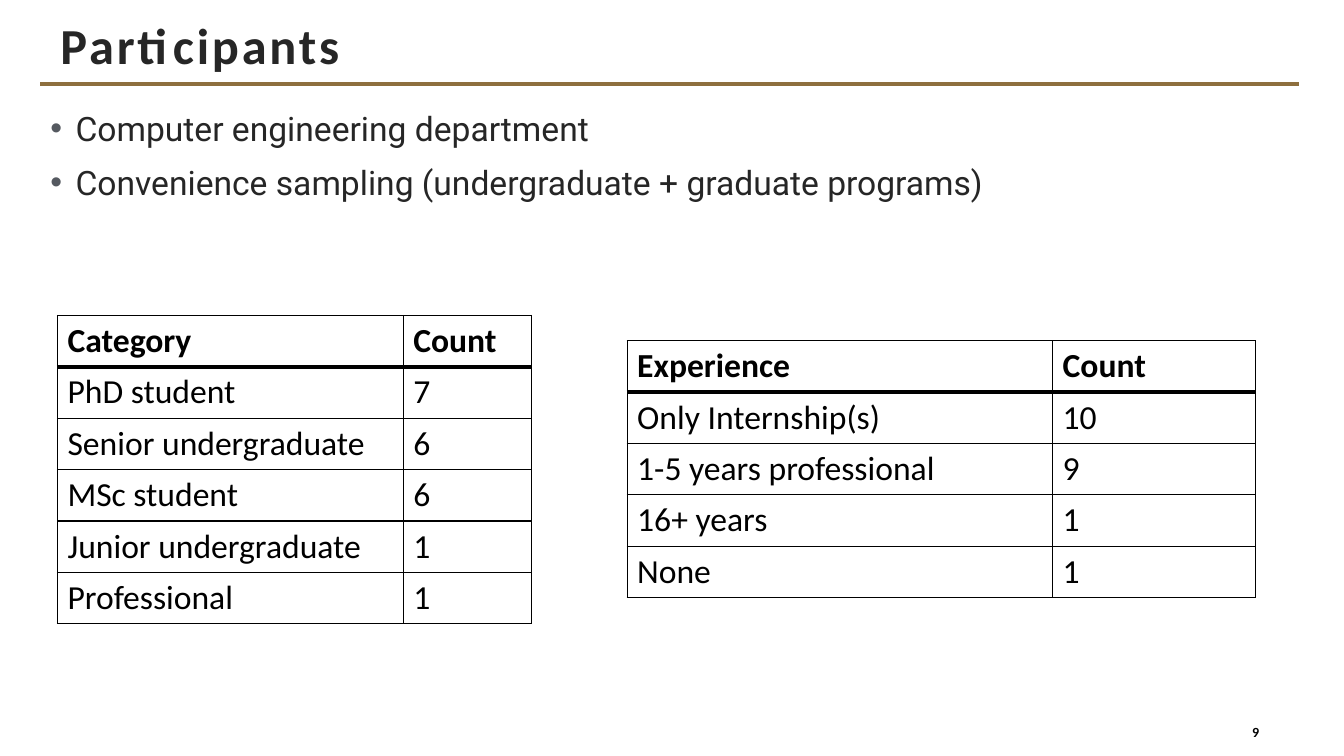
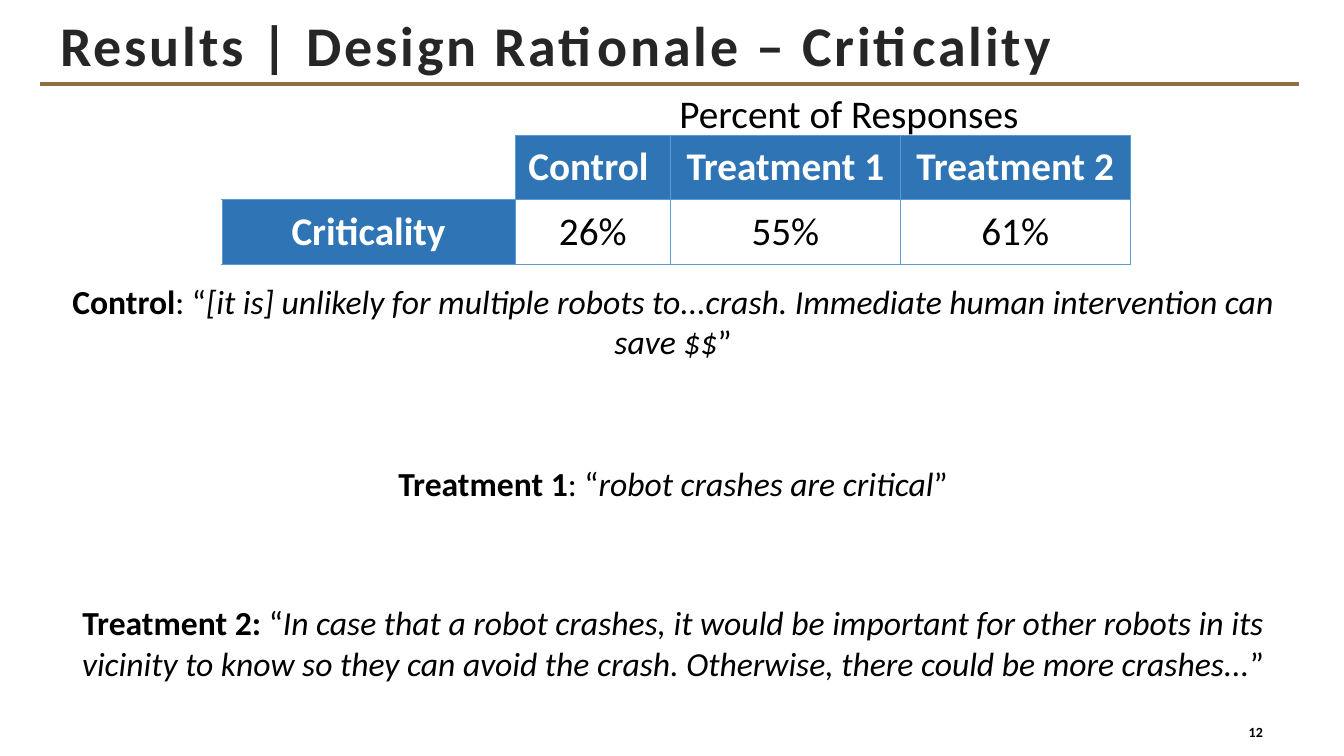
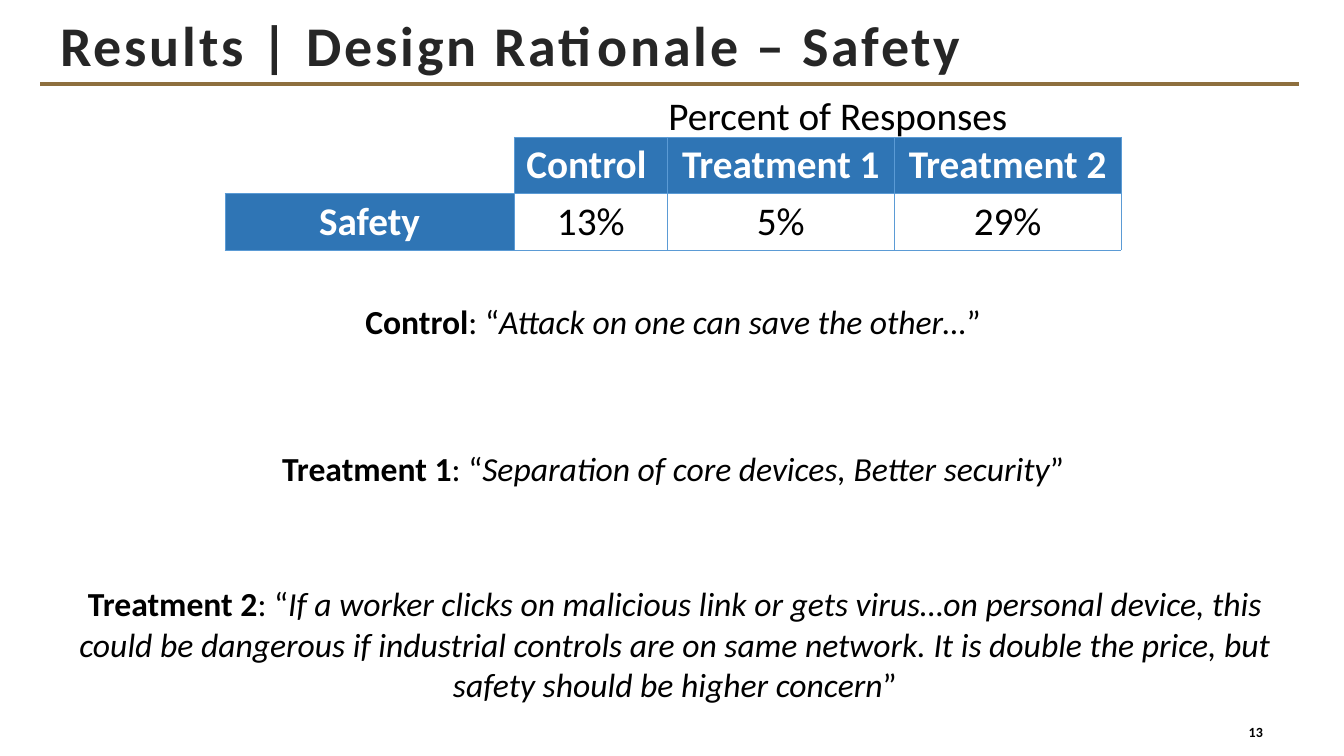
from pptx import Presentation
from pptx.dml.color import RGBColor
from pptx.enum.shapes import MSO_CONNECTOR, MSO_SHAPE
from pptx.enum.text import MSO_ANCHOR, MSO_AUTO_SIZE, PP_ALIGN
from pptx.oxml.ns import qn
from pptx.util import Inches, Pt
from lxml.etree import SubElement

COLORS = {
    "rule": "8E6F3E",
    "heading": "262626",
    "bullet": "555960",
    "text": "000000",
    "white": "FFFFFF",
    "header": "2F75B5",
    "grid": "5B9BD5",
}
FONT = "Calibri"
BODY_FONT = "Roboto"
LEFT, WIDTH = 0.4, 12.48
TITLE_AND_CONTENT, TITLE_ONLY = 1, 5


def color(name):
    return RGBColor.from_string(COLORS[name])


def place(shape, left, top, width, height):
    shape.left, shape.top = Inches(left), Inches(top)
    shape.width, shape.height = Inches(width), Inches(height)


def set_margins(target, horizontal, vertical):
    """Set the inner margins of a text frame or a table cell."""
    target.margin_left = target.margin_right = Inches(horizontal)
    target.margin_top = target.margin_bottom = Inches(vertical)


def format_run(run, size, bold=False, italic=False, color_name="text", font=FONT):
    run.font.name = font
    run.font.size = Pt(size)
    run.font.bold = bold
    run.font.italic = italic
    run.font.color.rgb = color(color_name)


def add_rule(slide):
    rule = slide.shapes.add_connector(
        MSO_CONNECTOR.STRAIGHT,
        Inches(LEFT), Inches(0.83), Inches(LEFT + WIDTH), Inches(0.83))
    rule.line.color.rgb = color("rule")
    rule.line.width = Pt(3)
    SubElement(rule.element.spPr, qn("a:effectLst"))


def format_title(title, text, size):
    place(title, LEFT, 0.13, WIDTH, 0.7)
    frame = title.text_frame
    frame.text = text
    frame.auto_size = MSO_AUTO_SIZE.NONE
    frame.vertical_anchor = MSO_ANCHOR.MIDDLE
    set_margins(frame, 0.2, 0.2)
    paragraph = frame.paragraphs[0]
    paragraph.alignment = PP_ALIGN.LEFT
    paragraph.line_spacing = 0.9
    run = paragraph.runs[0]
    format_run(run, size, bold=True, color_name="heading")
    run.font._element.set("spc", "200")


def add_clear_shape(slide, kind, left, top, width, height):
    """Add a shape without fill or line and return its centred paragraph."""
    shape = slide.shapes.add_shape(
        kind, Inches(left), Inches(top), Inches(width), Inches(height))
    shape.shadow.inherit = False
    shape.fill.background()
    shape.line.fill.background()
    shape.text_frame.word_wrap = True
    shape.text_frame.vertical_anchor = MSO_ANCHOR.MIDDLE
    paragraph = shape.text_frame.paragraphs[0]
    paragraph.alignment = PP_ALIGN.CENTER
    return shape, paragraph


def add_page_number(slide, number):
    shape, paragraph = add_clear_shape(slide, MSO_SHAPE.OVAL, 12.19, 7.06, 0.53, 0.4)
    set_margins(shape.text_frame, 0.02, 0.05)
    paragraph.text = str(number)
    format_run(paragraph.runs[0], 10, bold=True)


def add_titled_slide(presentation, layout, title, title_size, number):
    slide = presentation.slides.add_slide(presentation.slide_layouts[layout])
    add_rule(slide)
    format_title(slide.shapes.title, title, title_size)
    add_page_number(slide, number)
    return slide


def set_bullet(paragraph):
    properties = paragraph._p.get_or_add_pPr()
    properties.set("marL", str(Inches(0.25)))
    properties.set("indent", str(-Inches(0.25)))
    bullet_color = SubElement(properties, qn("a:buClr"))
    SubElement(bullet_color, qn("a:srgbClr"), val=COLORS["bullet"])
    SubElement(properties, qn("a:buFont"), typeface="Arial")
    SubElement(properties, qn("a:buChar"), char="•")


def fill_bullets(body, items):
    place(body, LEFT, 1.02, WIDTH, 6.04)
    frame = body.text_frame
    frame.text = "\n".join(items)
    frame.auto_size = MSO_AUTO_SIZE.NONE
    for paragraph in frame.paragraphs:
        paragraph.space_before = Pt(10)
        set_bullet(paragraph)
        format_run(paragraph.runs[0], 24, color_name="heading", font=BODY_FONT)


def set_borders(cell, color_name, width, **special):
    """Draw all four borders; special maps a side to its (colour, width)."""
    properties = cell._tc.get_or_add_tcPr()
    for side in "LRTB":
        side_color, side_width = special.get(side, (color_name, width))
        line = SubElement(properties, qn(f"a:ln{side}"), w=str(Pt(side_width)))
        fill = SubElement(line, qn("a:solidFill"))
        SubElement(fill, qn("a:srgbClr"), val=COLORS[side_color])


def fill_cell(cell, fill_name):
    if fill_name:
        cell.fill.solid()
        cell.fill.fore_color.rgb = color(fill_name)
    else:
        cell.fill.background()


def add_grid(slide, rows, left, top, column_widths, row_height):
    """Add a plain table with its texts and yield (row, column, cell)."""
    table = slide.shapes.add_table(
        len(rows), len(column_widths), Inches(left), Inches(top),
        Inches(sum(column_widths)), Inches(row_height * len(rows))).table
    table.first_row = table.horz_banding = False
    for column, width in zip(table.columns, column_widths):
        column.width = Inches(width)
    for row_index, row in enumerate(rows):
        table.rows[row_index].height = Inches(row_height)
        for column_index, text in enumerate(row):
            cell = table.cell(row_index, column_index)
            cell.text = text
            yield row_index, column_index, cell


def add_count_table(slide, rows, left, top, column_widths):
    thick = ("text", 3)
    special_borders = {0: {"B": thick}, 1: {"T": thick}}
    for row, _, cell in add_grid(slide, rows, left, top, column_widths, 0.51):
        set_borders(cell, "text", 1, **special_borders.get(row, {}))
        fill_cell(cell, "white")
        format_run(cell.text_frame.paragraphs[0].runs[0], 24, bold=row == 0)


def add_percent_table(slide, name, values, left, top, column_widths, row_height):
    rows = [["", "Control ", "Treatment 1", "Treatment 2"], [name, *values]]
    blank = ("white", 0.5)
    for row, column, cell in add_grid(slide, rows, left, top, column_widths, row_height):
        is_corner = row == column == 0
        is_header = (row == 0) != (column == 0)
        set_borders(cell, "grid", 0.5, **({"L": blank, "T": blank} if is_corner else {}))
        fill_cell(cell, "header" if is_header else None)
        set_margins(cell, 0, 0)
        cell.vertical_anchor = MSO_ANCHOR.MIDDLE
        paragraph = cell.text_frame.paragraphs[0]
        paragraph.alignment = PP_ALIGN.CENTER
        for run in paragraph.runs:
            format_run(run, 28, bold=is_header,
                       color_name="white" if is_header else "text")


def add_caption(slide, left, top):
    box = slide.shapes.add_textbox(Inches(left), Inches(top), Inches(4.04), Inches(0.57))
    frame = box.text_frame
    frame.word_wrap = True
    frame.auto_size = MSO_AUTO_SIZE.SHAPE_TO_FIT_TEXT
    frame.text = "Percent of Responses"
    frame.paragraphs[0].alignment = PP_ALIGN.CENTER
    format_run(frame.paragraphs[0].runs[0], 28)


def add_quote(slide, top, height, label, opening, quote):
    _, paragraph = add_clear_shape(
        slide, MSO_SHAPE.HORIZONTAL_SCROLL, LEFT, top, WIDTH, height)
    parts = [(label, True, False), (opening, False, False),
             (quote, False, True), ("”", False, False)]
    for text, bold, italic in parts:
        run = paragraph.add_run()
        run.text = text
        format_run(run, 24, bold, italic)


def add_participants_slide(presentation):
    slide = add_titled_slide(presentation, TITLE_AND_CONTENT, "Participants", 36, 9)
    fill_bullets(slide.placeholders[1], [
        "Computer engineering department",
        "Convenience sampling (undergraduate + graduate programs)",
    ])
    add_count_table(slide, [
        ("Category", "Count"),
        ("PhD student", "7"),
        ("Senior undergraduate", "6"),
        ("MSc student", "6"),
        ("Junior undergraduate", "1"),
        ("Professional", "1"),
    ], 0.57, 3.13, [3.43, 1.27])
    add_count_table(slide, [
        ("Experience", "Count"),
        ("Only Internship(s)", "10"),
        ("1-5 years professional", "9"),
        ("16+ years", "1"),
        ("None", "1"),
    ], 6.22, 3.38, [4.22, 2.01])


def add_rationale_slide(presentation, name, number, values, table_box, caption_at, quotes):
    """Add a results slide; table_box is left, top, column widths, row height."""
    slide = add_titled_slide(
        presentation, TITLE_ONLY, f"Results | Design Rationale – {name}", 40, number)
    for quote in quotes:
        add_quote(slide, *quote)
    add_percent_table(slide, name, values, *table_box)
    add_caption(slide, *caption_at)


def main():
    presentation = Presentation()
    presentation.slide_width = Inches(13.33)
    presentation.slide_height = Inches(7.5)
    add_participants_slide(presentation)
    add_rationale_slide(
        presentation, "Criticality", 12, ["26%", "55%", "61%"],
        (2.2, 1.34, [2.91, 1.54, 2.28, 2.28], 0.64), (6.4, 0.84),
        [
            (2.62, 1.13, "Control", ": “",
             "[it is] unlikely for multiple robots to...crash. "
             "Immediate human intervention can save $$"),
            (4.23, 1.13, "Treatment 1", ": “", "robot crashes are critical"),
            (5.81, 1.13, "Treatment 2:", " “",
             "In case that a robot crashes, it would be important for other robots "
             "in its vicinity to know so they can avoid the crash. "
             "Otherwise, there could be more crashes..."),
        ])
    add_rationale_slide(
        presentation, "Safety", 13, ["13%", "5%", "29%"],
        (2.23, 1.36, [2.87, 1.52, 2.25, 2.25], 0.56), (6.29, 0.86),
        [
            (2.62, 1.13, "Control", ": “", "Attack on one can save the other…"),
            (4.08, 1.13, "Treatment 1", ": “",
             "Separation of core devices, Better security"),
            (5.53, 1.71, "Treatment 2", ": “",
             "If a worker clicks on malicious link or gets virus…on personal device, "
             "this could be dangerous if industrial controls are on same network. "
             "It is double the price, but safety should be higher concern"),
        ])
    presentation.save("out.pptx")


if __name__ == "__main__":
    main()
